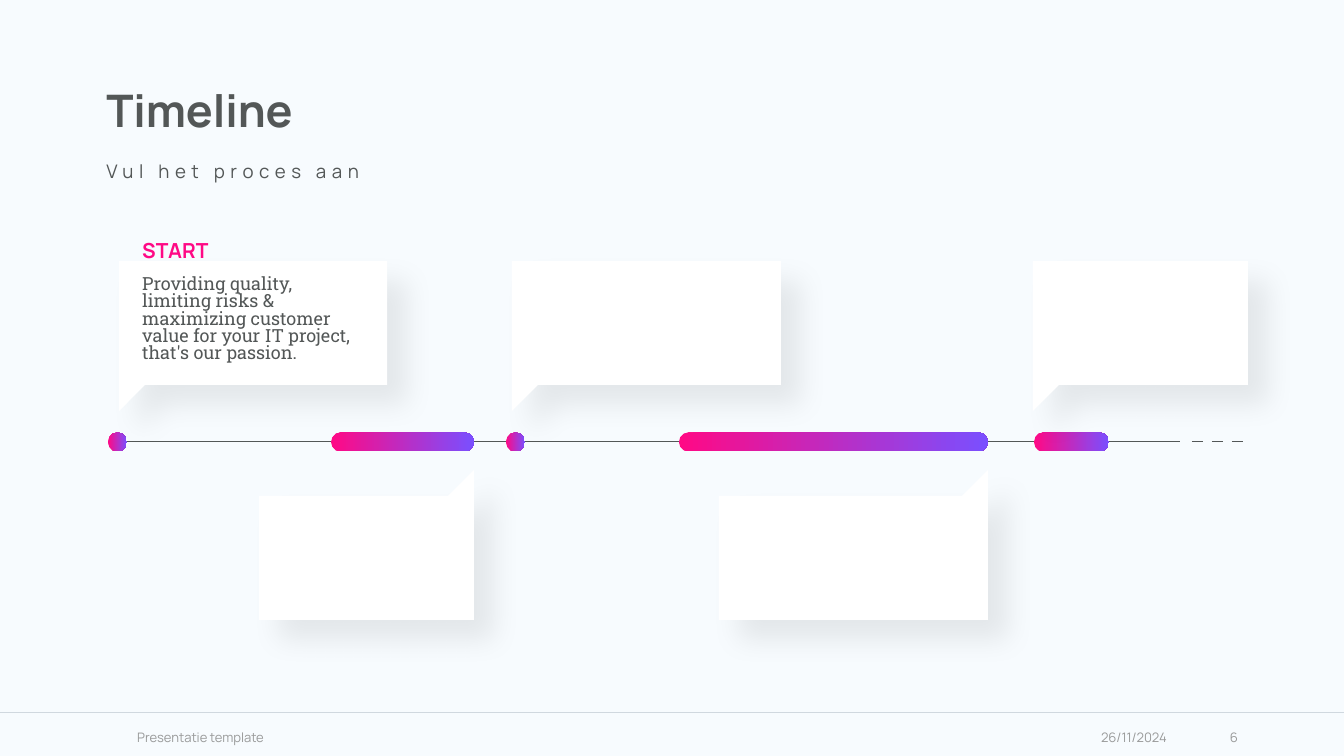
from dataclasses import dataclass

from lxml.etree import SubElement
from pptx import Presentation
from pptx.dml.color import RGBColor as Rgb
from pptx.enum.shapes import MSO_CONNECTOR as Link, MSO_SHAPE as Kind
from pptx.enum.text import MSO_ANCHOR as Anchor, PP_ALIGN as Align
from pptx.oxml.ns import qn
from pptx.util import Emu, Pt

SCALE = 914400 / 134.4  # EMU in one px


@dataclass(frozen=True)
class Theme:
    back: str = "F7FBFE"
    ink: str = "535757"
    mute: str = "999A9A"
    rule: str = "D0D8DF"
    card: str = "FFFFFF"
    pink: str = "FF0985"
    blue: str = "7A4FFF"
    shade: str = "000000"
    sans: str = "Manrope"
    slab: str = "Roboto Slab"
    title: float = 24
    sub: float = 10
    head: float = 11.1
    body: float = 9.7
    foot: float = 7


@dataclass(frozen=True)
class Pill:
    left: int
    width: int


@dataclass(frozen=True)
class Card:
    left: int
    width: int
    above: bool


THEME = Theme()
AXIS = 442
THICK = 19
TALL = 124
TIP = 26
TOP, LOW = 261, 496

PILLS = [Pill(108, THICK), Pill(506, THICK), Pill(331, 143), Pill(679, 309), Pill(1034, 75)]
CARDS = [
    Card(119, 268, True),
    Card(512, 269, True),
    Card(1033, 215, True),
    Card(259, 215, False),
    Card(719, 269, False),
]


def px(count: float) -> Emu:
    return Emu(round(count * SCALE))


def add_line(slide, start: int, end: int, y: int, color: str) -> None:
    line = slide.shapes.add_connector(Link.STRAIGHT, px(start), px(y), px(end), px(y))
    line.line.color.rgb = Rgb.from_string(color)
    line.line.width = Pt(0.5)
    SubElement(line._element.spPr, qn("a:effectLst"))


def add_pill(slide, pill: Pill) -> None:
    kind = Kind.OVAL if pill.width == THICK else Kind.ROUNDED_RECTANGLE
    shape = slide.shapes.add_shape(
        kind, px(pill.left), px(AXIS - THICK / 2), px(pill.width), px(THICK)
    )
    if kind == Kind.ROUNDED_RECTANGLE:
        shape.adjustments[0] = 0.5
    shape.fill.gradient()
    shape.fill.gradient_angle = 0
    for stop, color in zip(shape.fill.gradient_stops, (THEME.pink, THEME.blue)):
        stop.color.rgb = Rgb.from_string(color)
    shape.line.fill.background()
    shape.shadow.inherit = False


def add_shade(shape) -> None:
    """Give the shape a soft shadow to the lower right."""
    shape.shadow.inherit = False
    effects = shape._element.spPr.find(qn("a:effectLst"))
    shade = SubElement(
        effects, qn("a:outerShdw"), blurRad=str(Pt(15)), dist=str(Pt(15)),
        dir=str(45 * 60000), algn="ctr", rotWithShape="0",
    )
    color = SubElement(shade, qn("a:srgbClr"), val=THEME.shade)
    SubElement(color, qn("a:alpha"), val="8000")


def add_card(slide, card: Card) -> None:
    """Draw a card whose tip points to the axis, at left above it, at right below it."""
    left, right = card.left, card.left + card.width
    if card.above:
        base = TOP + TALL
        points = [(left, TOP), (right, TOP), (right, base), (left + TIP, base), (left, base + TIP)]
    else:
        base = LOW + TALL
        points = [(right, base), (left, base), (left, LOW), (right - TIP, LOW), (right, LOW - TIP)]
    path = slide.shapes.build_freeform(*points[0], scale=SCALE)
    path.add_line_segments(points[1:], close=True)
    shape = path.convert_to_shape()
    shape.fill.solid()
    shape.fill.fore_color.rgb = Rgb.from_string(THEME.card)
    shape.line.fill.background()
    add_shade(shape)


def add_box(slide, left: int, top: int, width: int, height: int, anchor=Anchor.TOP):
    frame = slide.shapes.add_textbox(px(left), px(top), px(width), px(height)).text_frame
    frame.word_wrap = True
    frame.vertical_anchor = anchor
    return frame


def write(frame, text: str, *, size: float, color: str = THEME.ink, font: str = THEME.sans,
          bold: bool = False, align=Align.LEFT, lead: float = 1.0, gap: float = 0,
          track: int = 0) -> None:
    """Add a paragraph, using the empty first one if there is one."""
    first = frame.paragraphs[0]
    para = frame.add_paragraph() if first.runs else first
    para.alignment = align
    para.line_spacing = lead
    para.space_before = Pt(gap)
    run = para.add_run()
    run.text = text
    run.font.name = font
    run.font.size = Pt(size)
    run.font.bold = bold
    run.font.color.rgb = Rgb.from_string(color)
    if track:
        run.font._element.set("spc", str(track * 100))


def add_foot(slide, text: str, left: int, width: int, align=Align.RIGHT) -> None:
    frame = add_box(slide, left, 717, width, 40, Anchor.MIDDLE)
    write(frame, text, size=THEME.foot, color=THEME.mute, align=align)


def main() -> None:
    deck = Presentation()
    deck.slide_width, deck.slide_height = px(1344), px(756)
    slide = deck.slides.add_slide(deck.slide_layouts[6])
    slide.background.fill.solid()
    slide.background.fill.fore_color.rgb = Rgb.from_string(THEME.back)

    add_line(slide, 0, 1344, 713, THEME.rule)
    title = add_box(slide, 93, 40, 1158, 147, Anchor.MIDDLE)
    write(title, "Timeline", size=THEME.title, bold=True, lead=0.9)
    sub = add_box(slide, 93, 156, 1158, 30)
    write(sub, "Vul het proces aan", size=THEME.sub, lead=0.9, track=3)
    add_foot(slide, "26/11/2024", 1068, 112)
    add_foot(slide, "Presentatie template", 124, 422, Align.LEFT)
    add_foot(slide, "6", 1180, 71)

    add_line(slide, 109, 1180, AXIS, THEME.ink)
    for step in range(3):
        dash = 1192 + 20 * step
        add_line(slide, dash, dash + 11, AXIS, THEME.ink)
    for pill in PILLS:
        add_pill(slide, pill)
    for card in CARDS:
        add_card(slide, card)

    note = add_box(slide, 129, 236, 247, 160)
    write(note, "START", size=THEME.head, color=THEME.pink, bold=True, lead=0.8)
    write(
        note,
        "Providing quality, limiting risks & maximizing customer value "
        "for your IT project, that's our passion.",
        size=THEME.body, font=THEME.slab, lead=0.8, gap=7.5,
    )
    deck.save("out.pptx")


if __name__ == "__main__":
    main()
